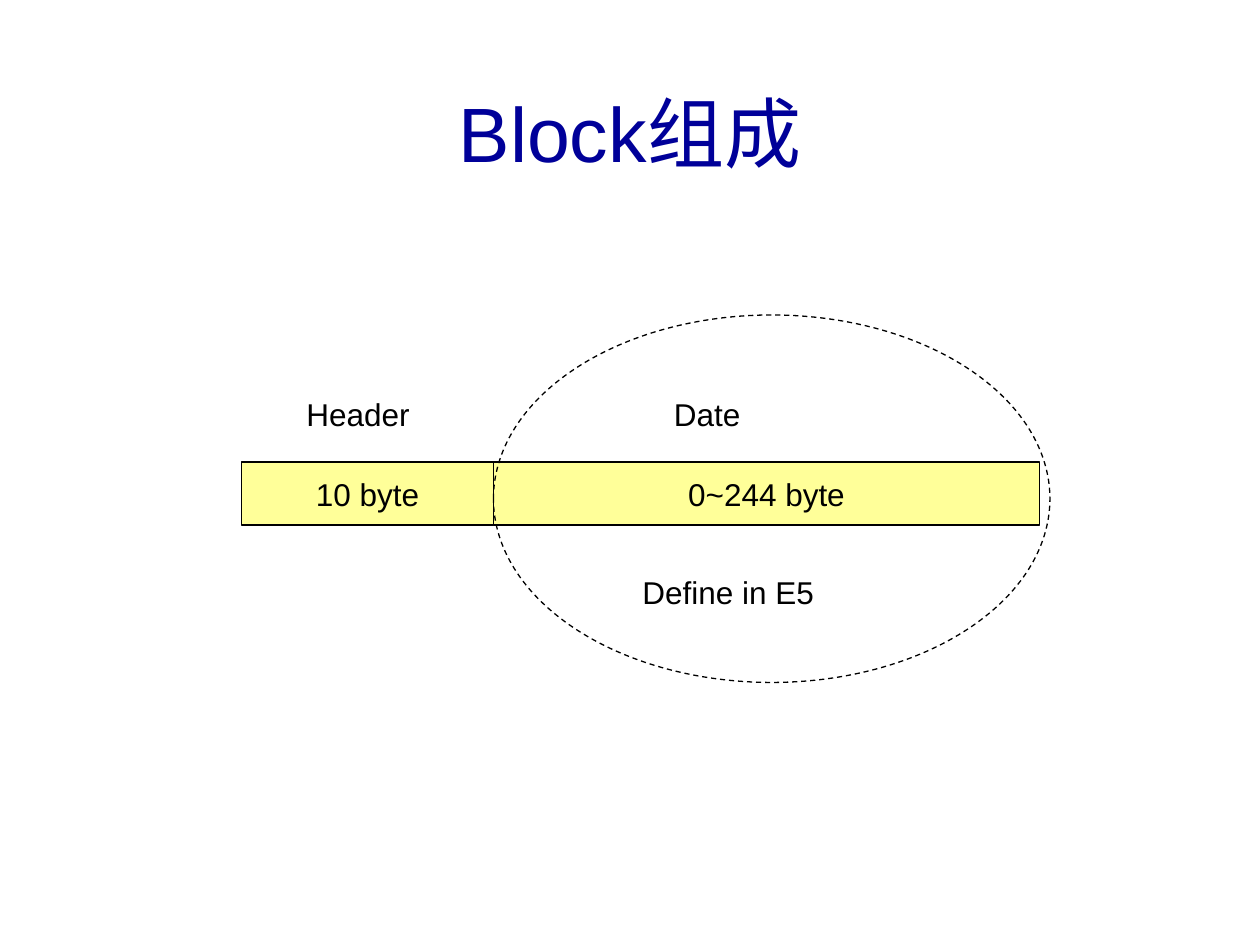
import pptx
import pptx.util
import pptx.dml.color
import pptx.enum.dml
import pptx.enum.shapes
import pptx.enum.text

COLS, ROWS = 120, 90
WIDTH, HEIGHT = pptx.util.Inches(10), pptx.util.Inches(7.5)
HUES = {"title": "000099", "text": "000000", "line": "000000", "cell": "FFFF99"}
KINDS = pptx.enum.shapes.MSO_SHAPE
ALIGN = pptx.enum.text.PP_ALIGN
ANCHOR = pptx.enum.text.MSO_ANCHOR


def hue(name):
    """Return the named colour."""
    return pptx.dml.color.RGBColor.from_string(HUES[name])


def place(box, col, row, wide, high):
    """Turn grid cells counted from the corner of a box into lengths."""
    unit, step = WIDTH / COLS, HEIGHT / ROWS
    left, top = box[:2]
    return [round(n) for n in ((left + col) * unit, (top + row) * step,
                               wide * unit, high * step)]


def write(shape, text, size=18, color="text", align=ALIGN.LEFT,
          anchor=ANCHOR.TOP, wrap=True):
    """Put one styled line of text in a shape."""
    frame = shape.text_frame
    frame.text = text
    frame.word_wrap = wrap
    frame.vertical_anchor = anchor
    line = frame.paragraphs[0]
    line.alignment = align
    for run in line.runs:
        run.font.name = "Arial"
        run.font.size = pptx.util.Pt(size)
        run.font.color.rgb = hue(color)


def draw(slide, kind, spot, fill=None):
    """Add a thinly outlined shape, filled if a colour is named."""
    shape = slide.shapes.add_shape(kind, *spot)
    shape.shadow.inherit = False
    shape.line.color.rgb = hue("line")
    shape.line.width = pptx.util.Pt(0.75)
    if fill:
        shape.fill.solid()
        shape.fill.fore_color.rgb = hue(fill)
    else:
        shape.fill.background()
    return shape


def title(slide, box, text):
    """Fill the box with the slide title."""
    shape = slide.shapes.add_textbox(*place(box, 0, 0, *box[2:]))
    write(shape, text, 44, "title", ALIGN.CENTER, ANCHOR.MIDDLE)


def block(slide, box):
    """Draw the block's two cells, their labels and the ring round the data."""
    wide, high = box[2:]
    head, data = 24, 52
    for text, col, span in (("10 byte", 0, head), ("0~244 byte", head, data)):
        cell = draw(slide, KINDS.RECTANGLE, place(box, col, 14, span, 6), "cell")
        write(cell, text, align=ALIGN.CENTER, anchor=ANCHOR.MIDDLE, wrap=False)
    ring = draw(slide, KINDS.OVAL, place(box, head, 0, wide - head, high))
    ring.line.dash_style = pptx.enum.dml.MSO_LINE.DASH
    for text, col, row, span in (("Header", 5, 7, 14), ("Date", 40, 7, 24),
                                 ("Define in E5", 37, 24, 32)):
        label = slide.shapes.add_textbox(*place(box, col, row, span, 4.8))
        write(label, text)


def main():
    """Build and save the slide."""
    deck = pptx.Presentation()
    deck.slide_width, deck.slide_height = WIDTH, HEIGHT
    slide = deck.slides.add_slide(deck.slide_layouts[6])
    title(slide, (4, 5, 112, 15), "Block组成")
    block(slide, (23, 30, 77, 35))
    deck.save("out.pptx")


if __name__ == "__main__":
    main()
